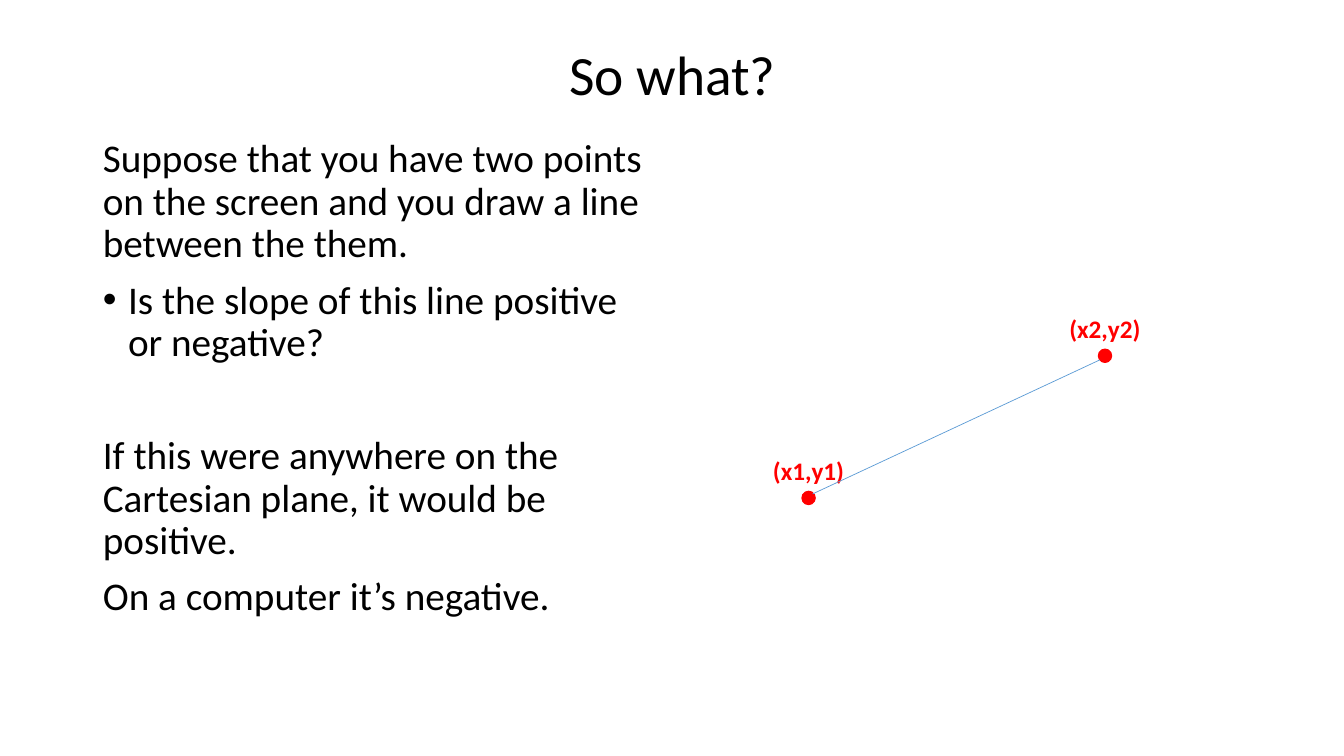
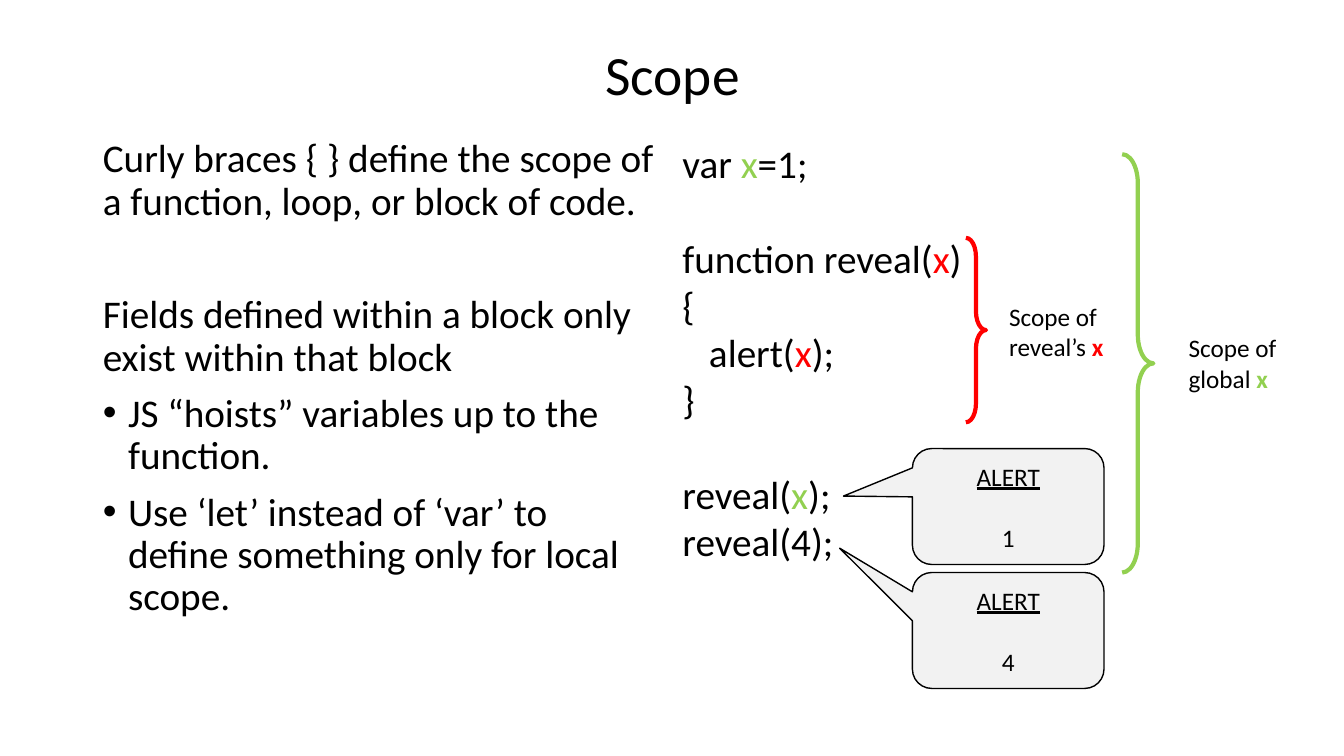
from lxml.etree import SubElement
from pptx import Presentation
from pptx.dml.color import RGBColor
from pptx.enum.shapes import MSO_CONNECTOR as Link, MSO_SHAPE as Shape
from pptx.enum.text import MSO_ANCHOR as Anchor, MSO_AUTO_SIZE as Auto, PP_ALIGN as Align
from pptx.oxml.ns import qn
from pptx.util import Inches, Pt

FONT = "Calibri"
COLORS = {
    "text": "000000",
    "local": "FF0000",
    "global": "92D050",
    "link": "5B9BD5",
    "alert": "F2F2F2",
}
BODY_GAP = 10
BODY_BREAK = 50.7
CODE_BREAK = 34.2
ALERT_BREAK = 22


def color(name):
    return RGBColor.from_string(COLORS[name])


def box(*sides):
    return [Inches(side) for side in sides]


def style(run, size, tint="text", bold=False):
    font = run.font
    font.name, font.size, font.bold = FONT, Pt(size), bold
    font.color.rgb = color(tint)


def place(shape, *sides):
    shape.left, shape.top, shape.width, shape.height = box(*sides)


def outline(shape, tint, width):
    shape.shadow.inherit = False
    shape.line.color.rgb = color(tint)
    shape.line.width = Pt(width)


def set_bullet(para, shown):
    props = para._p.get_or_add_pPr()
    indent = Inches(0.25) if shown else 0
    props.set("marL", str(indent))
    props.set("indent", str(-indent))
    if shown:
        SubElement(props, qn("a:buFont"), typeface="Arial")
        SubElement(props, qn("a:buChar"), char="•")
    else:
        SubElement(props, qn("a:buNone"))


def add_slide(deck, title, items):
    """Items are (text, bulleted, space before)."""
    slide = deck.slides.add_slide(deck.slide_layouts[1])
    head, body = slide.placeholders
    place(head, 0.92, 0.4, 11.5, 0.73)
    frame = head.text_frame
    frame.text = title
    frame.auto_size, frame.vertical_anchor = Auto.NONE, Anchor.MIDDLE
    para = frame.paragraphs[0]
    para.alignment, para.line_spacing = Align.CENTER, 0.9
    style(para.runs[0], 39.6)

    place(body, 0.92, 1.33, 5.67, 5.42)
    frame = body.text_frame
    frame.text = "\n".join(text for text, _, _ in items)
    frame.auto_size = Auto.NONE
    for para, (_, bulleted, gap) in zip(frame.paragraphs, items):
        set_bullet(para, bulleted)
        para.line_spacing, para.space_before = 0.9, Pt(gap)
        style(para.runs[0], 28)
    return slide


def add_text(slide, sides, lines, size, align=Align.LEFT, bold=()):
    """Each line is (space before, [(text, colour), ...])."""
    frame = slide.shapes.add_textbox(*box(*sides)).text_frame
    frame.word_wrap = True
    for i, (gap, parts) in enumerate(lines):
        para = frame.add_paragraph() if i else frame.paragraphs[0]
        para.alignment, para.space_before = align, Pt(gap)
        for text, tint in parts:
            run = para.add_run()
            run.text = text
            style(run, size, tint, tint in bold)


def add_point(slide, x, y, name):
    size = 0.13
    add_text(slide, (x - 0.55, y - 0.475, 1.1, 0.4),
             [(0, [(name, "local")])], 18, Align.CENTER, ["local"])
    dot = slide.shapes.add_shape(
        Shape.OVAL, *box(x - size / 2, y - size / 2, size, size))
    dot.fill.solid()
    dot.fill.fore_color.rgb = color("local")
    outline(dot, "local", 1)


def add_line(slide, *ends):
    line = slide.shapes.add_connector(Link.STRAIGHT, *box(*ends))
    line.line.color.rgb = color("link")
    line.line.width = Pt(0.5)
    SubElement(line._element.spPr, qn("a:effectLst"))


def add_scope(slide, sides, tint, label, left, top):
    """Draw a brace and the label that names its scope."""
    brace = slide.shapes.add_shape(Shape.RIGHT_BRACE, *box(*sides))
    brace.adjustments[0] = 0.927
    brace.fill.background()
    outline(brace, tint, 3)
    add_text(slide, (left, top, 1.39, 0.71),
             [(0, [(label, "text"), ("x", tint)])], 18, bold=[tint])


def add_alert(slide, top, value, tip):
    """The tip is the pointer's end, relative to the bubble's centre."""
    bubble = slide.shapes.add_shape(
        Shape.ROUNDED_RECTANGULAR_CALLOUT, *box(9.05, top, 1.9, 1.15))
    bubble.adjustments[0], bubble.adjustments[1] = tip
    bubble.fill.solid()
    bubble.fill.fore_color.rgb = color("alert")
    outline(bubble, "text", 1)
    frame = bubble.text_frame
    frame.text = f"ALERT\n{value}"
    frame.vertical_anchor = Anchor.MIDDLE
    for para in frame.paragraphs:
        para.alignment = Align.CENTER
        style(para.runs[0], 18)
    first, last = frame.paragraphs
    first.runs[0].font.underline = True
    last.space_before = Pt(ALERT_BREAK)


def add_slope(deck):
    slide = add_slide(deck, "So what?", [
        ("Suppose that you have two points on the screen and you draw a line between the them.", False, 0),
        ("Is the slope of this line positive or negative?", True, BODY_GAP),
        ("If this were anywhere on the Cartesian plane, it would be positive.", False, BODY_BREAK),
        ("On a computer it’s negative.", False, BODY_GAP),
    ])
    add_point(slide, 8.02, 4.94, "(x1,y1)")
    add_point(slide, 10.96, 3.53, "(x2,y2)")
    add_line(slide, 8.06, 4.9, 10.91, 3.57)


def add_scopes(deck):
    slide = add_slide(deck, "Scope", [
        ("Curly braces { } define the scope of a function, loop, or block of code.", False, 0),
        ("Fields defined within a block only exist within that block", False, BODY_BREAK),
        ("JS “hoists” variables up to the function.", True, BODY_GAP),
        ("Use ‘let’ instead of ‘var’ to define something only for local scope.", True, BODY_GAP),
    ])
    add_text(slide, (6.67, 1.33, 3.51, 4.34), [
        (0, [("var ", "text"), ("x", "global"), ("=1;", "text")]),
        (CODE_BREAK, [("function reveal(", "text"), ("x", "local"), (")", "text")]),
        (0, [("{", "text")]),
        (0, [("   alert(", "text"), ("x", "local"), (");", "text")]),
        (0, [("}", "text")]),
        (CODE_BREAK, [("reveal(", "text"), ("x", "global"), (");", "text")]),
        (0, [("reveal(4);", "text")]),
    ], 28)
    add_scope(slide, (9.58, 2.36, 0.2, 1.83), "local", "Scope of reveal’s ", 9.91, 2.94)
    add_scope(slide, (11.13, 1.53, 0.31, 4.15), "global", "Scope of global ", 11.69, 3.25)
    add_alert(slide, 4.45, 1, (-0.86, -0.09))
    add_alert(slide, 5.68, 4, (-0.88, -0.71))


def main():
    deck = Presentation()
    deck.slide_width, deck.slide_height = box(13.33, 7.5)
    add_slope(deck)
    add_scopes(deck)
    deck.save("out.pptx")


if __name__ == "__main__":
    main()
